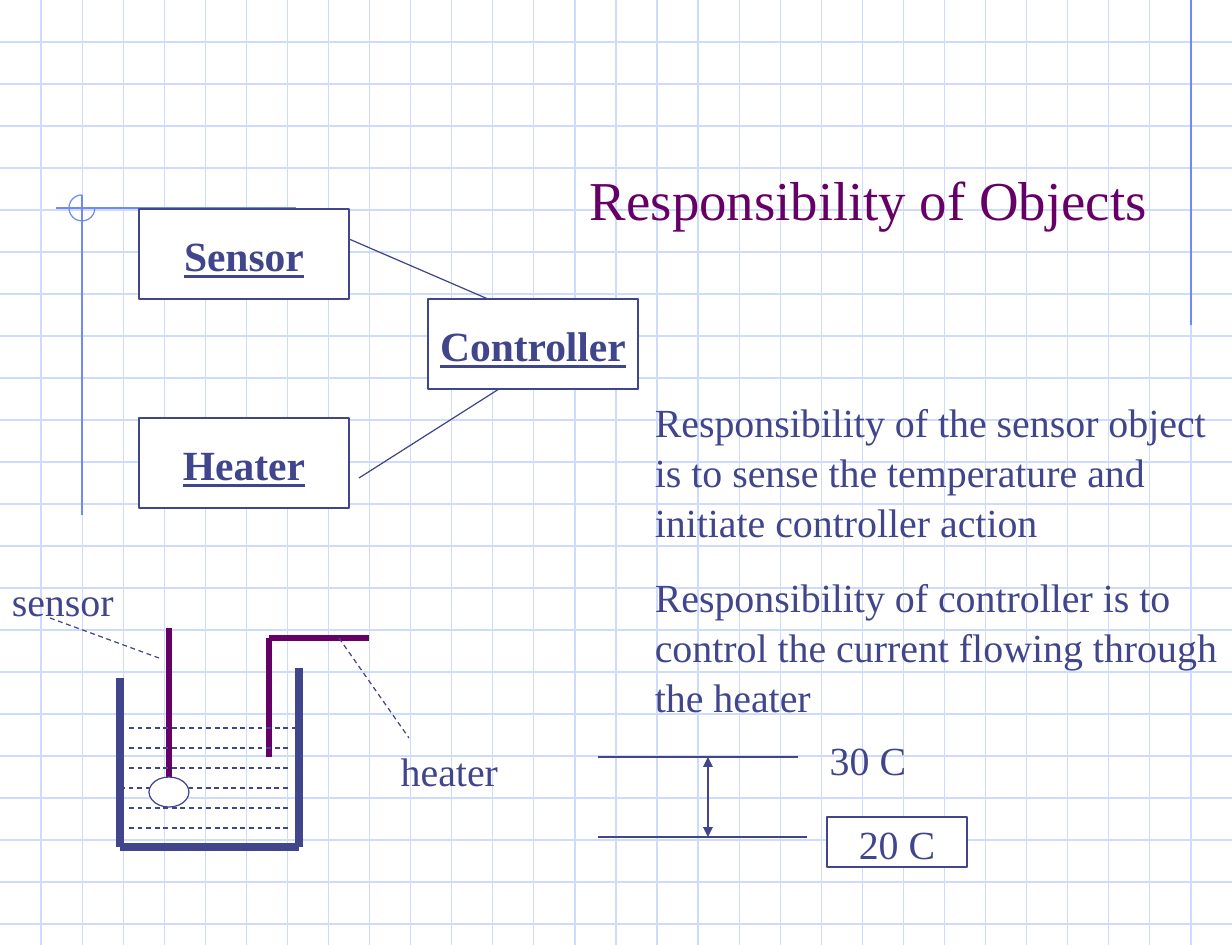
"""Build the slide on responsibilities of sensor, heater and controller objects."""
from lxml import etree
from pptx import Presentation
from pptx.dml.color import RGBColor
from pptx.enum.dml import MSO_LINE
from pptx.enum.shapes import MSO_CONNECTOR, MSO_SHAPE
from pptx.enum.text import MSO_ANCHOR, MSO_AUTO_SIZE, PP_ALIGN
from pptx.oxml.ns import qn
from pptx.util import Pt

STRAIGHT = MSO_CONNECTOR.STRAIGHT
RECTANGLE, ELLIPSE, ARC = MSO_SHAPE.RECTANGLE, MSO_SHAPE.OVAL, MSO_SHAPE.ARC
DASH = MSO_LINE.DASH
TOP, MIDDLE, BOTTOM = MSO_ANCHOR.TOP, MSO_ANCHOR.MIDDLE, MSO_ANCHOR.BOTTOM
LEFT, CENTER = PP_ALIGN.LEFT, PP_ALIGN.CENTER
NO_FIT = MSO_AUTO_SIZE.NONE

WHITE = RGBColor(0xFF, 0xFF, 0xFF)
GRID = RGBColor(0xCF, 0xDB, 0xFD)
GUIDE = RGBColor(0x6F, 0x89, 0xF7)
INK = RGBColor(0x40, 0x45, 0x8C)
PURPLE = RGBColor(0x66, 0x00, 0x66)
FONT = "Times New Roman"
THIN, PROBE, WALL = 0.75, 3.25, 4.25

EMU_PER_PX = 914400 / 119.6
WIDTH, HEIGHT = 1232, 945
COLUMNS, ROWS = 30, 22.5

TITLE = ("Responsibility of Objects", (578, 159, 588, 78))
GUIDES = [(1191, 0, 1191, 325), (296, 208, 56, 208), (82, 195, 82, 515)]
GUIDE_ARC = (69, 195, 26, 26)

OBJECTS = [("Sensor", 139, 209), ("Heater", 139, 418), ("Controller", 428, 299)]
OBJECT_SIZE = (210, 90)
LINKS = [(349, 239, 488, 299), (499, 389, 359, 478)]

DUTIES = [
    "Responsibility of the sensor object is to sense the temperature and initiate controller action",
    "Responsibility of controller is to control the current flowing through the heater",
]
DUTIES_BOX = (643, 389, 589, 324)
LABELS = [("sensor", (0, 568, 140, 60)), ("heater", (389, 738, 129, 60)),
          ("30 C", (818, 727, 100, 60))]

PROBES = [(169, 628, 169, 777), (269, 638, 269, 757), (269, 638, 369, 638)]
TANK = [(120, 678, 120, 847), (120, 847, 299, 847), (299, 847, 299, 668)]
WATER_TOP, WATER_STEP, WATER_LINES = 728, 20, 6
WATER_LEFT, WATER_RIGHT = 129, 289
WATER_ENDS = {0: (129, 299), 3: (120, 289)}
SENSOR_BULB = (149, 777, 40, 30)
LEADERS = [(50, 618, 159, 658), (339, 638, 409, 738)]

LEVELS = [(598, 757, 798, 757), (598, 837, 807, 837)]
RANGE = (708, 757, 708, 837)
LOW_LEVEL = ("20 C", (827, 817, 140, 50))


def px(value):
    return round(value * EMU_PER_PX)


def add_line(slide, ends, color=INK, weight=THIN, dashed=False, arrows=False):
    line = slide.shapes.add_connector(STRAIGHT, *map(px, ends))
    line.line.color.rgb = color
    line.line.width = Pt(weight)
    if dashed:
        line.line.dash_style = DASH
    if arrows:
        outline = line.line._get_or_add_ln()
        for end in ("a:headEnd", "a:tailEnd"):
            etree.SubElement(outline, qn(end), type="triangle")
    etree.SubElement(line._element.spPr, qn("a:effectLst"))


def add_outline(slide, kind, place, color=INK, filled=True):
    shape = slide.shapes.add_shape(kind, *map(px, place))
    shape.shadow.inherit = False
    if filled:
        shape.fill.solid()
        shape.fill.fore_color.rgb = WHITE
    else:
        shape.fill.background()
    shape.line.color.rgb = color
    shape.line.width = Pt(THIN)
    return shape


def write(shape, texts, size=24, color=INK, align=LEFT, anchor=TOP,
          strong=False, wrap=True, spacing=1.05):
    frame = shape.text_frame
    frame.auto_size = NO_FIT
    frame.word_wrap = wrap
    frame.vertical_anchor = anchor
    for index, text in enumerate(texts):
        para = frame.add_paragraph() if index else frame.paragraphs[0]
        para.alignment = align
        para.line_spacing = spacing
        para.space_before = Pt(15 if index else 0)
        span = para.add_run()
        span.text = text
        span.font.name = FONT
        span.font.size = Pt(size)
        span.font.color.rgb = color
        if strong:
            span.font.bold = True
            span.font.underline = True


def add_backdrop(slide):
    for row in range(1, int(ROWS) + 1):
        y = row * HEIGHT / ROWS
        add_line(slide, (0, y, WIDTH, y), GRID)
    for column in range(1, COLUMNS):
        x = column * WIDTH / COLUMNS
        add_line(slide, (x, 0, x, HEIGHT), GRID)
    for ends in GUIDES:
        add_line(slide, ends, GUIDE)
    arc = add_outline(slide, ARC, GUIDE_ARC, GUIDE, filled=False)
    arc.adjustments[0] = 0
    arc.adjustments[1] = 270 * 60000 / 100000


def add_title(slide):
    text, place = TITLE
    title = slide.shapes.title
    title.left, title.top, title.width, title.height = map(px, place)
    write(title, [text], 33, PURPLE, anchor=BOTTOM, spacing=1.0)
    slide.shapes._spTree.append(title._element)


def add_text(slide, texts, place):
    box = slide.shapes.add_textbox(*map(px, place))
    write(box, texts)


def add_objects(slide):
    for name, left, top in OBJECTS:
        box = add_outline(slide, RECTANGLE, (left, top, *OBJECT_SIZE))
        write(box, [name], 25, align=CENTER, anchor=MIDDLE, strong=True, wrap=False)
    for ends in LINKS:
        add_line(slide, ends)


def add_tank(slide):
    for ends in PROBES:
        add_line(slide, ends, PURPLE, PROBE)
    for ends in TANK:
        add_line(slide, ends, weight=WALL)
    for index in range(WATER_LINES):
        left, right = WATER_ENDS.get(index, (WATER_LEFT, WATER_RIGHT))
        y = WATER_TOP + index * WATER_STEP
        add_line(slide, (left, y, right, y), dashed=True)
    add_outline(slide, ELLIPSE, SENSOR_BULB)
    for ends in LEADERS:
        add_line(slide, ends, dashed=True)


def add_range(slide):
    for ends in LEVELS:
        add_line(slide, ends)
    add_line(slide, RANGE, arrows=True)
    text, place = LOW_LEVEL
    box = add_outline(slide, RECTANGLE, place)
    write(box, [text], align=CENTER, anchor=MIDDLE, wrap=False)


def main():
    deck = Presentation()
    deck.slide_width, deck.slide_height = px(WIDTH), px(HEIGHT)
    page = deck.slides.add_slide(deck.slide_layouts[5])
    add_backdrop(page)
    add_title(page)
    add_objects(page)
    add_text(page, DUTIES, DUTIES_BOX)
    add_tank(page)
    for text, place in LABELS:
        add_text(page, [text], place)
    add_range(page)
    deck.save("out.pptx")


if __name__ == "__main__":
    main()
